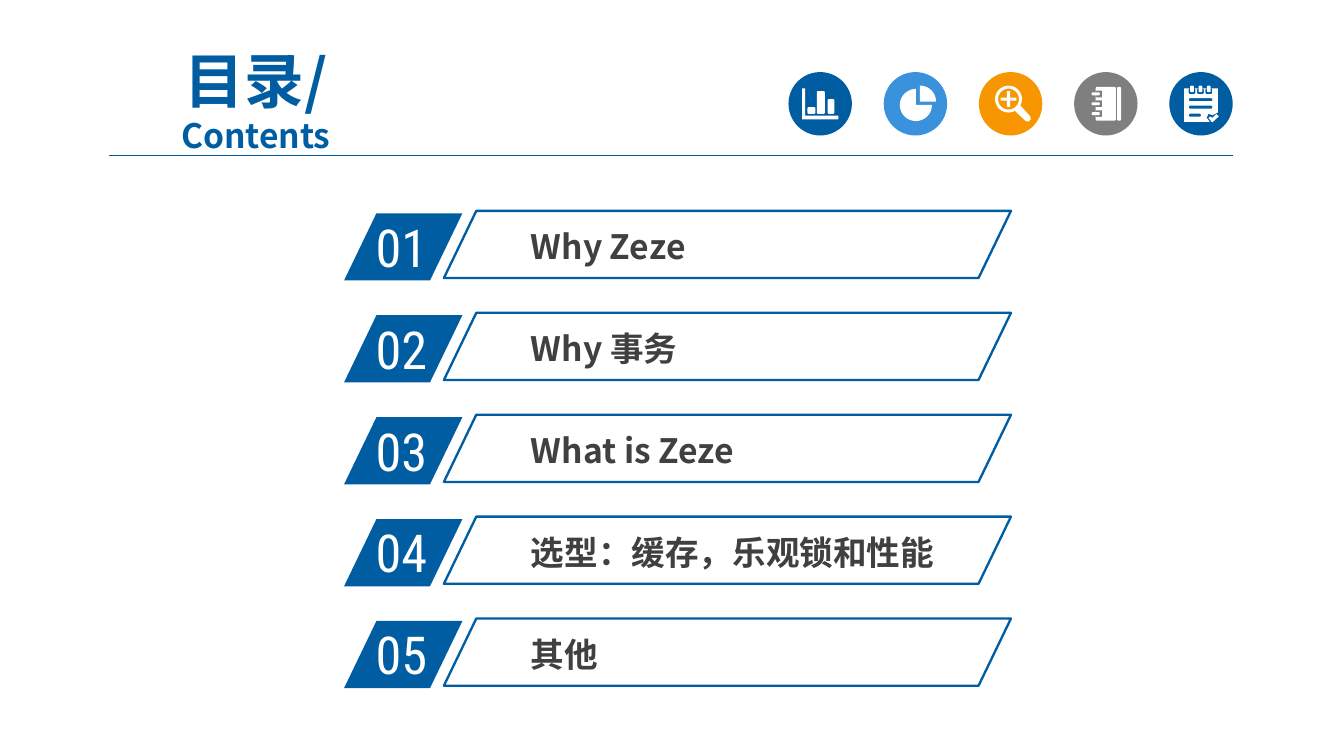
from math import cos, radians, sin

from lxml import etree
from pptx import Presentation
from pptx.dml.color import RGBColor
from pptx.enum.shapes import MSO_CONNECTOR, MSO_SHAPE
from pptx.enum.text import MSO_ANCHOR, PP_ALIGN
from pptx.oxml.ns import qn
from pptx.util import Pt

SLANT, OVAL = MSO_SHAPE.PARALLELOGRAM, MSO_SHAPE.OVAL
STRAIGHT = MSO_CONNECTOR.STRAIGHT
TOP, MIDDLE = MSO_ANCHOR.TOP, MSO_ANCHOR.MIDDLE
LEFT, CENTER = PP_ALIGN.LEFT, PP_ALIGN.CENTER

SANS, NARROW = "Noto Sans CJK SC", "Roboto Condensed"
COLORS = {
    "blue": "005DA2", "rule": "005B9E", "sky": "3992DB", "orange": "F79600",
    "gray": "7F7F7F", "text": "404040", "white": "FFFFFF",
}
TOPICS = ["Why Zeze", "Why 事务", "What is Zeze", "选型：缓存，乐观锁和性能", "其他"]
ROW_GAP, ICON_GAP, ICON_SIZE = 54.6, 51, 34


def color(name):
    return RGBColor.from_string(COLORS[name])


def paint(shape, fill=None, line=None, width=1.25):
    shape.shadow.inherit = False
    if fill:
        shape.fill.solid()
        shape.fill.fore_color.rgb = color(fill)
    else:
        shape.fill.background()
    if line:
        shape.line.color.rgb = color(line)
        shape.line.width = Pt(width)
    else:
        shape.line.fill.background()


def add_shape(slide, kind, x, y, w, h, **look):
    shape = slide.shapes.add_shape(kind, Pt(x), Pt(y), Pt(w), Pt(h))
    paint(shape, **look)
    return shape


def add_slant(slide, x, y, w, **look):
    add_shape(slide, SLANT, x, y, w, 36, **look).adjustments[0] = 0.482


def add_text(slide, text, x, y, w, h, sizes, font, tint,
             bold=False, align=LEFT, anchor=TOP, inset=(7.2, 3.6)):
    box = slide.shapes.add_textbox(Pt(x), Pt(y), Pt(w), Pt(h))
    frame = box.text_frame
    frame.word_wrap = True
    frame.vertical_anchor = anchor
    frame.margin_left = frame.margin_right = Pt(inset[0])
    frame.margin_top = frame.margin_bottom = Pt(inset[1])
    para = frame.paragraphs[0]
    para.text = text
    para.alignment = align
    for run, size in zip(para.runs, sizes):
        run.font.size = Pt(size)
        run.font.bold = bold
        run.font.color.rgb = color(tint)
        run.font.name = font
        etree.SubElement(run.font._element, qn("a:ea"), typeface=font)


def add_rule(slide, x1, x2, y):
    rule = slide.shapes.add_connector(STRAIGHT, Pt(x1), Pt(y), Pt(x2), Pt(y))
    rule.line.color.rgb = color("rule")
    rule.line.width = Pt(0.75)
    etree.SubElement(rule._element.spPr, qn("a:effectLst"))


# Icon outlines: points measured from the centre of the disc
def arc(x, y, r, start=0, end=360, steps=36):
    turns = [radians(start + (end - start) * i / steps) for i in range(steps + 1)]
    return [(x + r * cos(a), y + r * sin(a)) for a in turns]


def bar(x1, y1, x2, y2, r=0.7):
    ends = [(x2 - r, y2 - r), (x1 + r, y2 - r), (x1 + r, y1 + r), (x2 - r, y1 + r)]
    return [p for i, (x, y) in enumerate(ends)
            for p in arc(x, y, r, 90 * i, 90 * i + 90, 4)]


def chart_icon():
    axes = [(-9.7, -8.3), (-8, -8.3), (-8, 6.3), (9.7, 6.3), (9.7, 8.3), (-9.7, 8.3)]
    return [axes, bar(4, -2.5, 7.6, 5.4), bar(-1.8, -6.8, 2.5, 5.4),
            bar(-6.8, 1.8, -2.5, 5.4)]


def pie_icon():
    return [[(0.3, 0.7)] + arc(0.3, 0.7, 8.6, 0, 270),
            [(2.5, -1.1)] + arc(2.5, -1.1, 8.6, 270, 360)]


def zoom_icon():
    x, y, a, b = -1.1, -2.5, 4.2, 0.8
    plus = [(-b, -a), (b, -a), (b, -b), (a, -b), (a, b), (b, b),
            (b, a), (-b, a), (-b, b), (-a, b), (-a, -b), (-b, -b)]
    grip = [(2.5, 4), (8, 9.2), (9.6, 9.6), (10.8, 8.4), (10.5, 6.7), (5.4, 1.1)]
    return [arc(x, y, 7.2), arc(x, y, 5.6), [(x + i, y + j) for i, j in plus], grip]


def book_icon():
    parts = [bar(-5.4, -9, 5.4, 9), bar(6.1, -9, 8.2, 9)]
    for y in (-5.3, 0, 5.3):
        parts += [bar(-5.4, y - 1.8, -1.9, y + 1.8, 0.1),
                  bar(-7.6, y - 0.8, -3.2, y + 0.8)]
    return parts


def list_icon():
    page = [(-9, -8.3), (9, -8.3), (9, 4.7), (6.2, 6.1), (4, 5.4),
            (3, 7.5), (4.7, 9.7), (-9, 9.7)]
    check = [(4, 7.6), (5, 6.8), (6, 7.6), (8.3, 5.5), (9.5, 6.8), (6, 10)]
    parts = [page, check]
    for x in (-4.8, -0.3, 4.2):
        parts += [bar(x - 1.8, -8.3, x + 1.8, -5.2), bar(x - 1, -9.7, x + 1, -6.2)]
    for y, end in ((-2.2, 6.1), (1.8, 6.1), (6.1, 0)):
        parts.append(bar(-6.5, y - 0.8, end, y + 0.8))
    return parts


def add_icon(slide, x, y, fill, parts):
    add_shape(slide, OVAL, x, y, ICON_SIZE, ICON_SIZE, fill=fill)
    mid = ICON_SIZE / 2
    paths = [[(Pt(x + mid + i), Pt(y + mid + j)) for i, j in part] for part in parts]
    pen = slide.shapes.build_freeform(*paths[0][0])
    for k, path in enumerate(paths):
        if k:
            pen.move_to(*path[0])
        pen.add_line_segments(path[1:], close=True)
    paint(pen.convert_to_shape(), fill="white")


def add_row(slide, i, topic):
    y = 113 + i * ROW_GAP
    add_slant(slide, 184.3, y + 1.3, 63.4, fill="blue")
    add_text(slide, f"{i + 1:02}", 194.2, y - 1.4, 60.5, 35.3, [28], NARROW, "white")
    add_text(slide, topic, 279.4, y + 5.3, 253.4, 27.4, [18], SANS, "text",
             bold=True, inset=(5, 2.9))
    add_slant(slide, 237.8, y, 303.8, line="blue")


def main():
    deck = Presentation()
    deck.slide_width, deck.slide_height = Pt(720), Pt(405)
    slide = deck.slides.add_slide(deck.slide_layouts[6])

    # Heading
    add_text(slide, "目录/\vContents", 48.2, 33.8, 177.8, 38.9, [32, 18], SANS,
             "blue", bold=True, align=CENTER, anchor=MIDDLE)
    add_rule(slide, 58.3, 660.5, 83.4)

    # Contents rows
    for i, topic in enumerate(TOPICS):
        add_row(slide, i, topic)

    # Icon strip
    icons = [("blue", chart_icon()), ("sky", pie_icon()), ("orange", zoom_icon()),
             ("gray", book_icon()), ("blue", list_icon())]
    for i, (fill, parts) in enumerate(icons):
        add_icon(slide, 422.4 + i * ICON_GAP, 38.6, fill, parts)

    deck.save("out.pptx")


if __name__ == "__main__":
    main()
